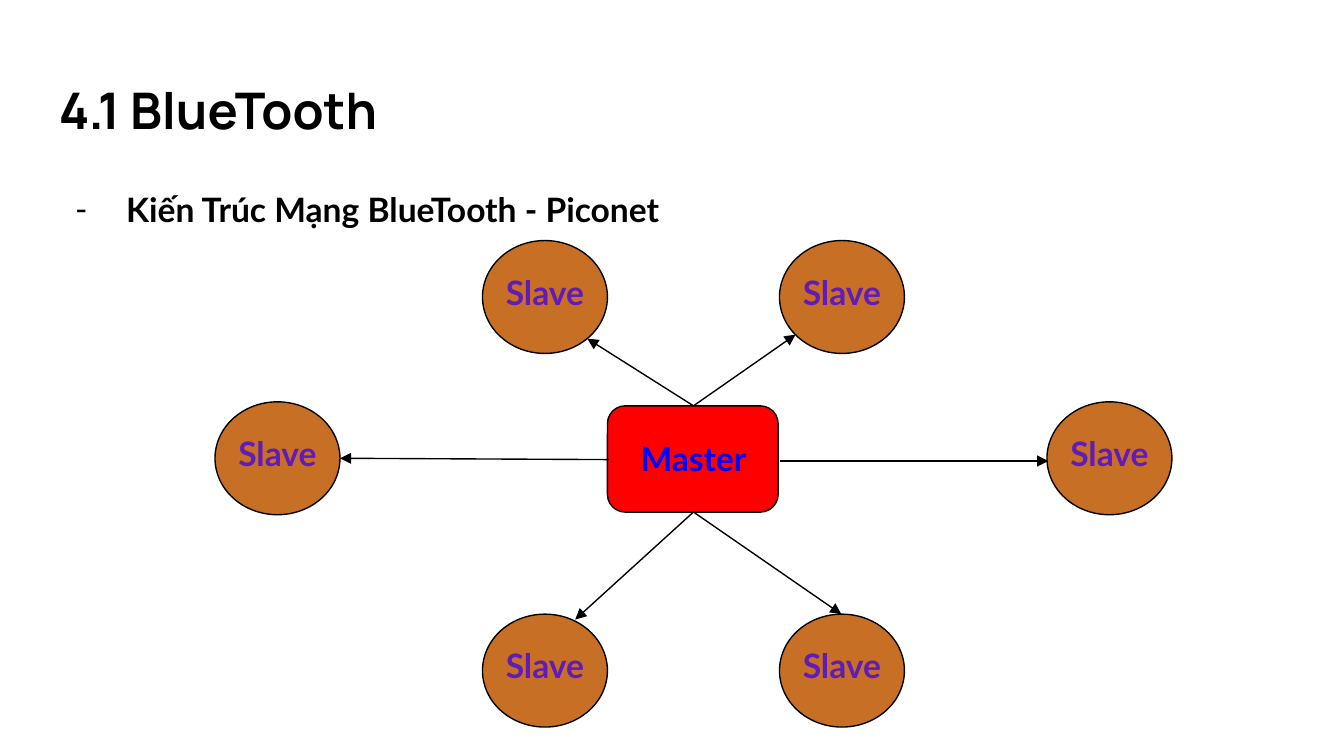
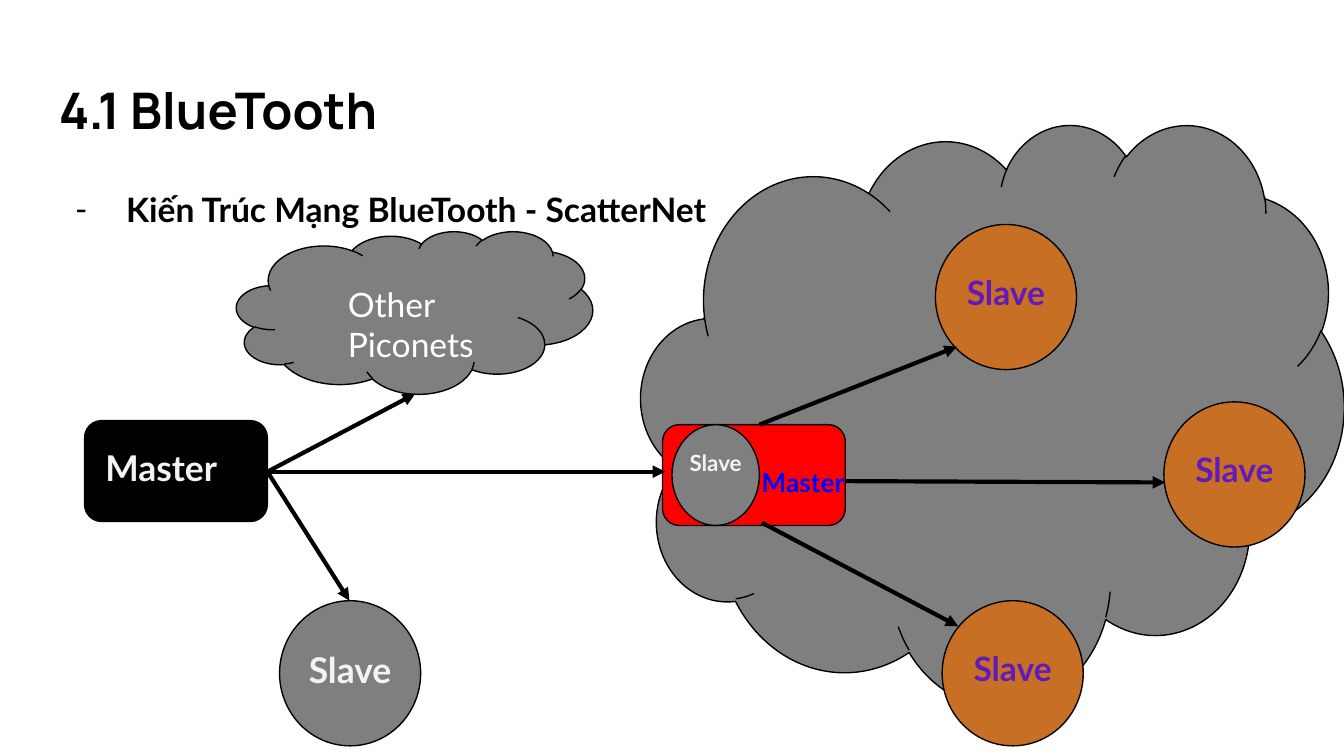
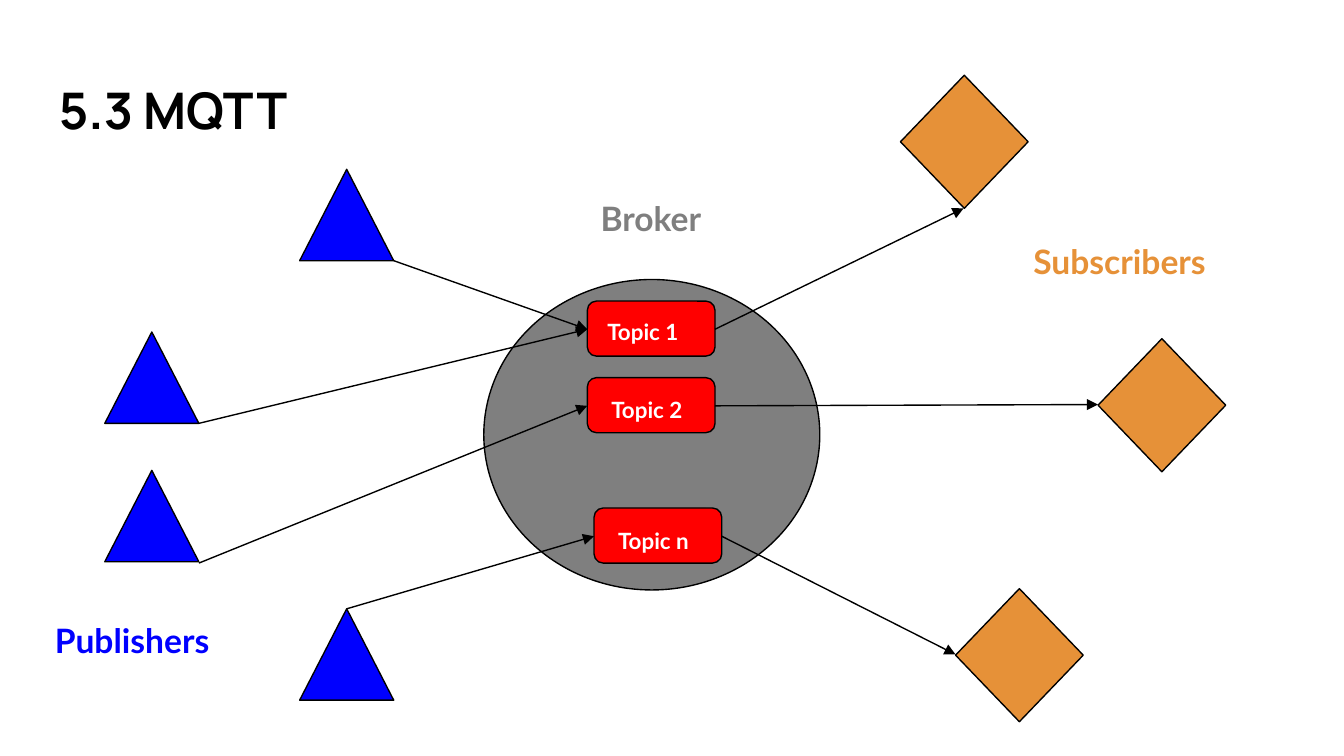
"""Build three slides on wireless network layouts and publish/subscribe messaging."""
from lxml import etree
from pptx import Presentation
from pptx.dml.color import RGBColor
from pptx.enum.shapes import MSO_CONNECTOR, MSO_SHAPE
from pptx.enum.text import PP_ALIGN
from pptx.oxml.ns import qn
from pptx.util import Inches, Pt

BLACK = RGBColor(0x00, 0x00, 0x00)
WHITE = RGBColor(0xFF, 0xFF, 0xFF)
PALE = RGBColor(0xF3, 0xF3, 0xF3)
GRAY = RGBColor(0x7F, 0x7F, 0x7F)
RED = RGBColor(0xFF, 0x00, 0x00)
BLUE = RGBColor(0x00, 0x00, 0xFF)
BROWN = RGBColor(0xC7, 0x70, 0x25)
ORANGE = RGBColor(0xE6, 0x91, 0x38)
PURPLE = RGBColor(0x61, 0x1B, 0xB8)

ELLIPSE = MSO_SHAPE.OVAL
ROUNDED = MSO_SHAPE.ROUNDED_RECTANGLE
CLOUD = MSO_SHAPE.CLOUD
TRIANGLE = MSO_SHAPE.ISOSCELES_TRIANGLE
DIAMOND = MSO_SHAPE.DIAMOND
STRAIGHT = MSO_CONNECTOR.STRAIGHT
LEFT = PP_ALIGN.LEFT
CENTER = PP_ALIGN.CENTER

TITLE_FONT = {"name": "Manrope", "size": Pt(27), "bold": True}
LABEL_FONT = {"name": "Lato", "size": Pt(18), "bold": True}
FRAME = {
    "margin_left": Inches(0.1),
    "margin_right": Inches(0.1),
    "margin_top": Inches(0.1),
    "margin_bottom": Inches(0.1),
    "word_wrap": True,
}
LABEL_WIDTH, LABEL_HEIGHT = 1.57, 0.58


def apply_format(target, values):
    """Set every named attribute on the target."""
    for name, value in values.items():
        setattr(target, name, value)


def lengths(*values):
    """Convert numbers to inches."""
    return [Inches(value) for value in values]


def add_text(slide, place, text, color, font=LABEL_FONT, align=LEFT, **changes):
    """Add a one-paragraph text box and return its paragraph."""
    box = slide.shapes.add_textbox(*lengths(*place))
    apply_format(box.text_frame, FRAME)
    para = box.text_frame.paragraphs[0]
    para.alignment = align
    span = para.add_run()
    span.text = text
    apply_format(span.font, {**font, **changes})
    span.font.color.rgb = color
    return para


def add_label(slide, center_x, top, text, color, **changes):
    """Add a label centred on a horizontal position."""
    place = (center_x - LABEL_WIDTH / 2, top, LABEL_WIDTH, LABEL_HEIGHT)
    add_text(slide, place, text, color, align=CENTER, **changes)


def add_figure(slide, kind, place, fill):
    """Add a filled preset shape with a thin black outline."""
    figure = slide.shapes.add_shape(kind, *lengths(*place))
    figure.shadow.inherit = False
    figure.fill.solid()
    figure.fill.fore_color.rgb = fill
    figure.line.color.rgb = BLACK
    figure.line.width = Pt(0.75)


def add_slave(slide, place, fill=BROWN, color=PURPLE, **changes):
    """Add a slave ellipse with its label in the middle."""
    left, top, width, height = place
    add_figure(slide, ELLIPSE, place, fill)
    add_label(slide, left + width / 2, top + height / 2 - 0.29, "Slave", color, **changes)


def add_arrow(slide, start, end, weight=0.75):
    """Add a straight black arrow from start to end."""
    arrow = slide.shapes.add_connector(STRAIGHT, *lengths(*start, *end))
    arrow.line.color.rgb = BLACK
    arrow.line.width = Pt(weight)
    etree.SubElement(arrow.line._get_or_add_ln(), qn("a:tailEnd"), type="triangle")
    etree.SubElement(arrow._element.spPr, qn("a:effectLst"))


def add_title(slide, text):
    """Add the slide title."""
    add_text(slide, (0.34, 0.49, 9.32, 0.68), text, BLACK, TITLE_FONT)


def add_topic_line(slide, text):
    """Add the dash-bulleted line under the title."""
    para = add_text(slide, (0.34, 1.26, 9.32, 3.74), text, BLACK)
    settings = para._p.get_or_add_pPr()
    settings.set("marL", str(Inches(0.5)))
    settings.set("indent", str(Inches(-0.38)))
    bullet_color = etree.SubElement(settings, qn("a:buClr"))
    etree.SubElement(bullet_color, qn("a:srgbClr"), val=str(BLACK))
    etree.SubElement(settings, qn("a:buFont"), typeface=LABEL_FONT["name"])
    etree.SubElement(settings, qn("a:buChar"), char="-")
    para.line_spacing = 1.15


def build_piconet(slide):
    """Draw one master linked to six slaves."""
    add_title(slide, "4.1 BlueTooth")
    add_topic_line(slide, "Kiến Trúc Mạng BlueTooth - Piconet")
    add_figure(slide, ROUNDED, (4.52, 3.02, 1.27, 0.79), RED)
    add_label(slide, 5.16, 3.16, "Master", BLUE)
    rows = {1.79: (3.59, 5.8), 2.99: (1.6, 7.79), 4.57: (3.59, 5.8)}
    for top, lefts in rows.items():
        for left in lefts:
            add_slave(slide, (left, top, 0.93, 0.84))
    master_top, master_bottom = (5.16, 3.02), (5.16, 3.81)
    for start, end in (
        ((5.8, 3.43), (7.8, 3.43)),
        ((4.53, 3.42), (2.53, 3.41)),
        (master_top, (4.37, 2.52)),
        (master_top, (5.92, 2.49)),
        (master_bottom, (4.28, 4.61)),
        (master_bottom, (6.26, 4.57)),
    ):
        add_arrow(slide, start, end)


def build_scatternet(slide):
    """Draw two piconets joined by a node that is slave and master."""
    add_figure(slide, CLOUD, (4.77, 0.92, 5.23, 4.33), GRAY)
    add_title(slide, "4.1 BlueTooth")
    add_topic_line(slide, "Kiến Trúc Mạng BlueTooth - ScatterNet")
    add_figure(slide, ROUNDED, (0.63, 3.13, 1.36, 0.75), BLACK)
    add_figure(slide, ROUNDED, (4.93, 3.16, 1.36, 0.75), RED)
    add_figure(slide, CLOUD, (1.76, 1.72, 2.65, 1.21), GRAY)
    for left, top in ((6.96, 1.67), (7.01, 4.47), (8.66, 2.99)):
        add_slave(slide, (left, top, 1.05, 1.08))
    add_slave(slide, (2.08, 4.47, 1.05, 1.08), GRAY, PALE, size=Pt(19))
    add_slave(slide, (5, 3.16, 0.65, 0.75), GRAY, PALE, size=Pt(12))
    add_label(slide, 1.2, 3.22, "Master", PALE, size=Pt(19))
    add_text(slide, (5.5, 3.37, 0.95, 0.32), "Master", BLUE, align=CENTER, size=Pt(14))
    master_right = (1.99, 3.51)
    for start, end in (
        (master_right, (4.95, 3.51)),
        (master_right, (2.6, 4.47)),
        (master_right, (3.09, 2.93)),
        ((6.29, 3.58), (8.67, 3.59)),
        ((5.65, 3.16), (7.12, 2.58)),
        ((5.67, 3.89), (7.13, 4.66)),
    ):
        add_arrow(slide, start, end, 2.25)
    add_text(slide, (2.49, 2.01, 1.2, 0.38), "Other Piconets", WHITE, bold=False)


def build_mqtt(slide):
    """Draw publishers, broker topics and subscribers."""
    add_title(slide, "5.3 MQTT")
    add_figure(slide, ELLIPSE, (3.6, 2.08, 2.5, 2.31), GRAY)
    for left, top in ((2.23, 1.26), (0.78, 2.47), (0.78, 3.5), (2.23, 4.53)):
        add_figure(slide, TRIANGLE, (left, top, 0.7, 0.68), BLUE)
    for left, top in ((6.7, 0.56), (8.17, 2.52), (7.11, 4.38)):
        add_figure(slide, DIAMOND, (left, top, 0.95, 0.99), ORANGE)
    topics = (
        ("Topic 1", (4.37, 2.24), (4.42, 2.27), ((2.93, 1.94), (1.48, 3.15)), (7.17, 1.55)),
        ("Topic 2", (4.37, 2.81), (4.45, 2.85), ((1.48, 4.19),), (8.17, 3.01)),
        ("Topic n", (4.42, 3.78), (4.5, 3.82), ((2.58, 4.53),), (7.11, 4.87)),
    )
    for name, (left, top), name_corner, publishers, subscriber in topics:
        add_figure(slide, ROUNDED, (left, top, 0.95, 0.41), RED)
        middle = top + 0.21
        for publisher in publishers:
            add_arrow(slide, publisher, (left, middle))
        add_arrow(slide, (left + 0.95, middle), subscriber)
        add_text(slide, (*name_corner, 0.79, 0.33), name, WHITE, size=Pt(12))
    for name, left, top, width, color in (
        ("Publishers", 0.31, 4.51, 1.53, BLUE),
        ("Subscribers", 7.59, 1.69, 1.53, ORANGE),
        ("Broker", 4.37, 1.37, 1, GRAY),
    ):
        add_text(slide, (left, top, width, 0.5), name, color)


def main():
    """Build and save the deck in a 16:9 format."""
    deck = Presentation()
    deck.slide_width = Inches(10)
    deck.slide_height = Inches(10 * 9 / 16)
    blank = deck.slide_layouts[6]
    for build in (build_piconet, build_scatternet, build_mqtt):
        build(deck.slides.add_slide(blank))
    deck.save("out.pptx")


if __name__ == "__main__":
    main()
